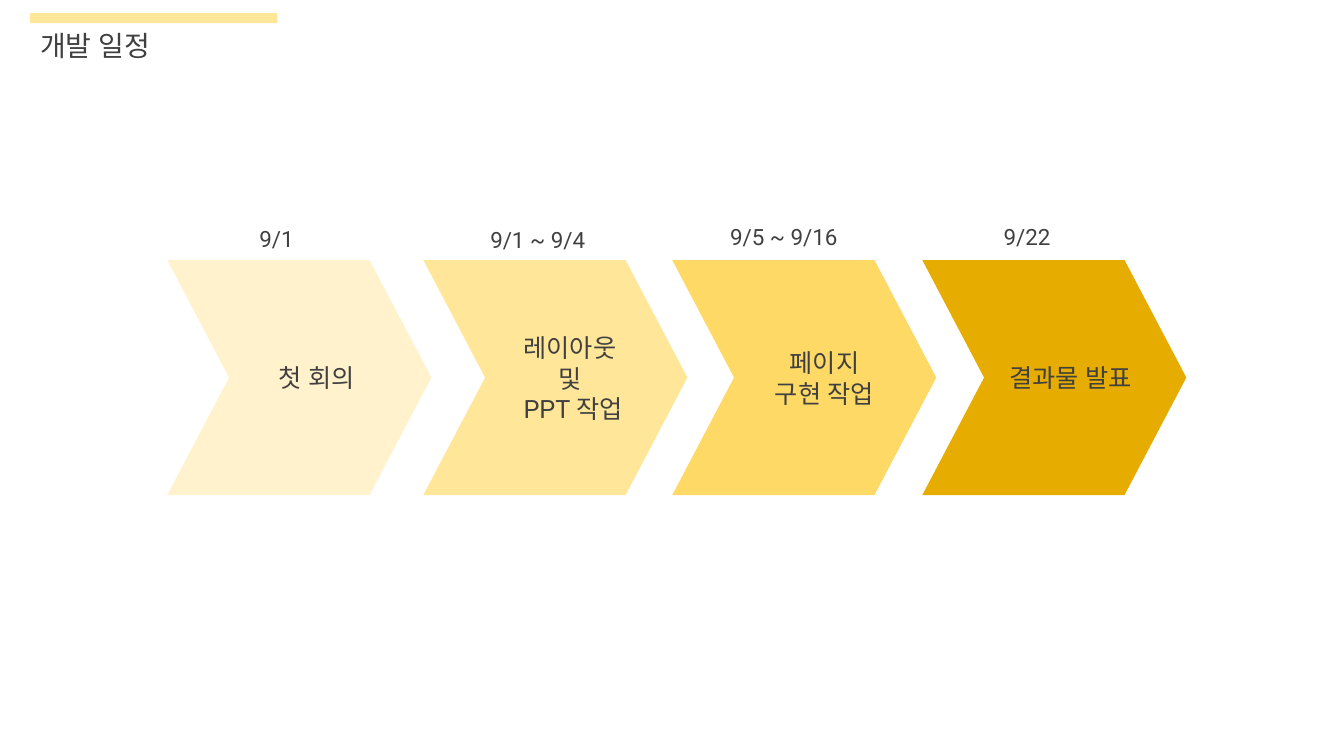
from dataclasses import dataclass

from pptx import Presentation
from pptx.dml.color import RGBColor
from pptx.enum.shapes import MSO_SHAPE
from pptx.enum.text import MSO_AUTO_SIZE, PP_ALIGN
from pptx.oxml.ns import qn
from pptx.shapes.autoshape import Shape
from pptx.slide import Slide
from pptx.util import Pt

COLORS = {
    "text": "404040",
    "accent": "FFE699",
    "meeting": "FFF2CC",
    "layout": "FFE699",
    "build": "FFD966",
    "launch": "E6AC00",
}
FONT = "Roboto"
CHEVRON_TOP, CHEVRON_WIDTH, CHEVRON_HEIGHT = 185.8, 188.6, 167.8
CHEVRON_POINT = 0.263


@dataclass(frozen=True)
class Caption:
    lines: tuple[str, ...]
    left: float
    top: float
    width: float
    height: float
    size: int
    wrap: bool = False
    align: PP_ALIGN = PP_ALIGN.CENTER


@dataclass(frozen=True)
class Stage:
    color: str
    left: float
    task: Caption
    date: Caption


TITLE = Caption(("개발 일정",), 21.6, 16.6, 97.9, 31.7, 20, align=PP_ALIGN.LEFT)
STAGES = (
    Stage("meeting", 119.5,
          Caption((" 첫 회의",), 158.4, 255.6, 131, 28.8, 18, wrap=True),
          Caption(("9/1",), 177.1, 157, 41, 26.6, 16)),
    Stage("layout", 302.4,
          Caption(("레이아웃 ", "및 ", "PPT 작업"), 302.4, 234, 213.8, 72.7, 18, wrap=True),
          Caption(("9/1 ~ 9/4",), 339.1, 157.7, 90, 26.6, 16)),
    Stage("build", 480.2,
          Caption(("페이지", "구현 작업"), 505.4, 244.8, 167, 51.1, 18, wrap=True),
          Caption(("9/5 ~ 9/16",), 509.8, 155.5, 100.1, 26.6, 16)),
    Stage("launch", 658.8,
          Caption((" 결과물 발표",), 706.3, 255.6, 112.3, 28.8, 18),
          Caption(("9/22",), 706.3, 155.5, 54.7, 26.6, 16)),
)


def add_block(slide: Slide, kind: MSO_SHAPE, color: str, left: float, top: float,
              width: float, height: float) -> Shape:
    """Add a flat filled shape without outline or shadow."""
    block = slide.shapes.add_shape(kind, Pt(left), Pt(top), Pt(width), Pt(height))
    block.shadow.inherit = False
    block.fill.solid()
    block.fill.fore_color.rgb = RGBColor.from_string(COLORS[color])
    block.line.fill.background()
    return block


def add_caption(slide: Slide, caption: Caption) -> None:
    box = slide.shapes.add_textbox(Pt(caption.left), Pt(caption.top),
                                   Pt(caption.width), Pt(caption.height))
    frame = box.text_frame
    frame.word_wrap = caption.wrap
    frame.auto_size = MSO_AUTO_SIZE.SHAPE_TO_FIT_TEXT
    frame.text = "\n".join(caption.lines)
    font_format = {"name": FONT, "size": Pt(caption.size)}
    for paragraph in frame.paragraphs:
        paragraph.alignment = caption.align
        for run in paragraph.runs:
            for attribute, value in font_format.items():
                setattr(run.font, attribute, value)
            run.font.color.rgb = RGBColor.from_string(COLORS["text"])
            east_asian = run.font._element.makeelement(qn("a:ea"), {"typeface": FONT})
            run.font._element.find(qn("a:latin")).addnext(east_asian)


def main() -> None:
    deck = Presentation()
    deck.slide_width, deck.slide_height = Pt(960), Pt(540)
    slide = deck.slides.add_slide(deck.slide_layouts[6])

    add_caption(slide, TITLE)
    add_block(slide, MSO_SHAPE.RECTANGLE, "accent", 21.6, 9.4, 176.4, 7.2)
    for stage in STAGES:
        chevron = add_block(slide, MSO_SHAPE.CHEVRON, stage.color, stage.left,
                            CHEVRON_TOP, CHEVRON_WIDTH, CHEVRON_HEIGHT)
        chevron.adjustments[0] = CHEVRON_POINT
    for stage in STAGES:
        add_caption(slide, stage.task)
        add_caption(slide, stage.date)

    deck.save("out.pptx")


if __name__ == "__main__":
    main()
